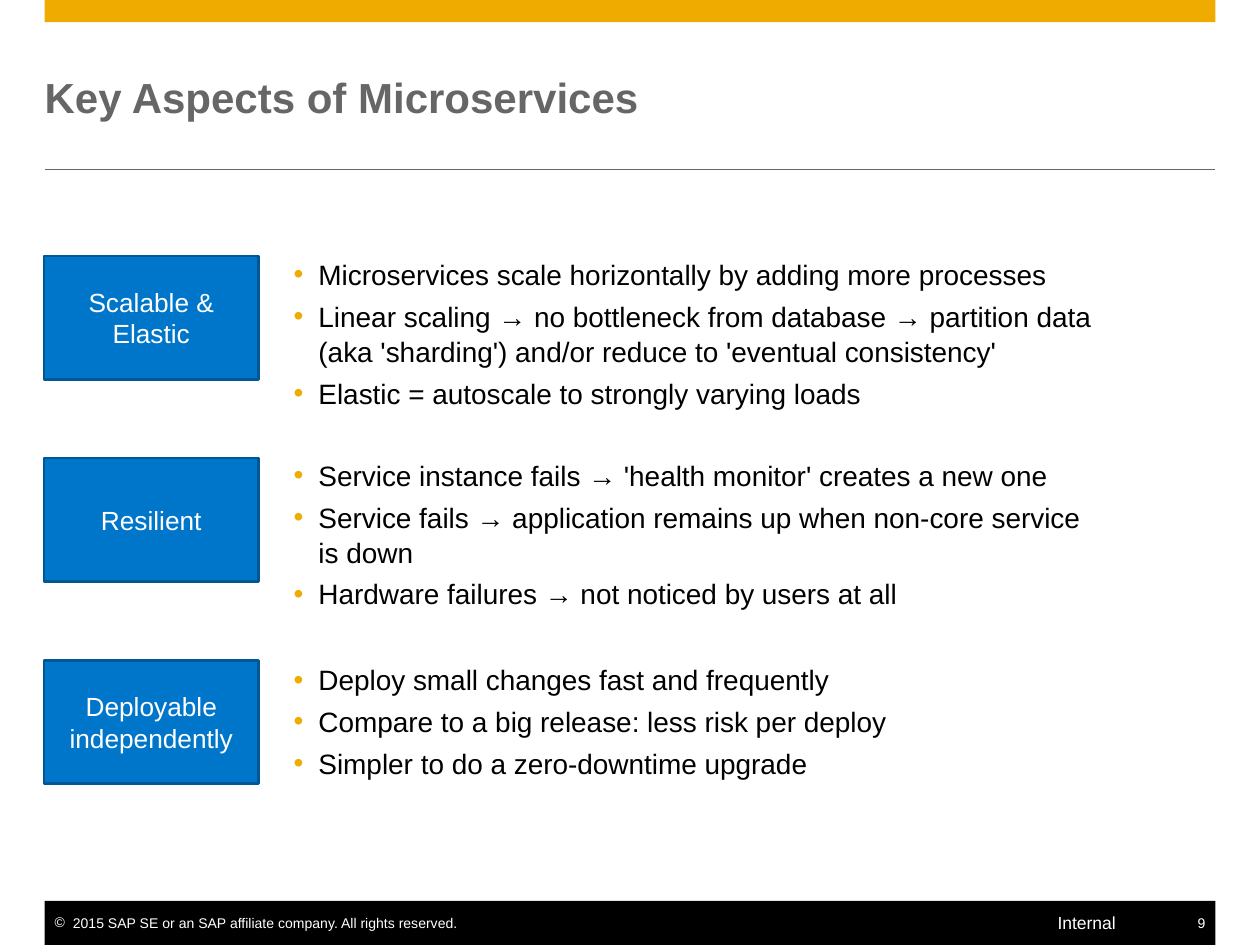
from dataclasses import dataclass

from lxml.etree import SubElement as Sub
from pptx import Presentation
from pptx.dml.color import RGBColor as Rgb
from pptx.enum.shapes import MSO_CONNECTOR as Conn, MSO_SHAPE as Shape
from pptx.enum.text import MSO_ANCHOR as Anchor, MSO_AUTO_SIZE as Fit, PP_ALIGN as Align
from pptx.oxml.ns import qn
from pptx.util import Cm, Pt


@dataclass(frozen=True)
class Theme:
    """Colours, font and type sizes of the slide."""
    gold: str = "F0AB00"
    grey: str = "666666"
    black: str = "000000"
    white: str = "FFFFFF"
    blue: str = "0076CB"
    navy: str = "005796"
    face: str = "Arial"
    head: int = 24
    body: int = 16
    card: int = 15
    mark: int = 10
    note: int = 8


THEME = Theme()
TOPICS = [
    ("Scalable & Elastic", 0, [
        "Microservices scale horizontally by adding more processes",
        "Linear scaling → no bottleneck from database → partition data "
        "(aka 'sharding') and/or reduce to 'eventual consistency'",
        "Elastic = autoscale to strongly varying loads"]),
    ("Resilient", 27, [
        "Service instance fails → 'health monitor' creates a new one",
        "Service fails → application remains up when non-core service is down",
        "Hardware failures → not noticed by users at all"]),
    ("Deployable independently", 29, [
        "Deploy small changes fast and frequently",
        "Compare to a big release: less risk per deploy",
        "Simpler to do a zero-downtime upgrade"]),
]


def place(part, box):
    """Move a shape to a box given in centimetres."""
    part.left, part.top, part.width, part.height = map(Cm, box)


def frame(part, anchor, inset=(0, 0, 0, 0)):
    """Prepare the text frame of a shape and return it."""
    text = part.text_frame
    text.word_wrap, text.auto_size = True, Fit.NONE
    text.vertical_anchor = anchor
    (text.margin_left, text.margin_top,
     text.margin_right, text.margin_bottom) = map(Cm, inset)
    return text


def style(para, size, color, bold=False, align=Align.LEFT):
    """Set the font and alignment of a paragraph."""
    para.alignment = align
    font = para.font
    font.name, font.size, font.bold = THEME.face, Pt(size), bold
    font.color.rgb = Rgb.from_string(color)


def bullet(para, sign, color, hang):
    """Give a paragraph a coloured bullet and a hanging indent."""
    props = para._p.get_or_add_pPr()
    props.set("marL", str(Cm(hang)))
    props.set("indent", str(-Cm(hang)))
    tint = Sub(props, qn("a:buClr"))
    Sub(tint, qn("a:srgbClr"), val=color)
    Sub(props, qn("a:buFont"), typeface=THEME.face)
    Sub(props, qn("a:buChar"), char=sign)


def block(slide, box, fill, edge=None):
    """Draw a filled rectangle with an optional edge."""
    part = slide.shapes.add_shape(Shape.RECTANGLE, *map(Cm, box))
    part.shadow.inherit = False
    part.fill.solid()
    part.fill.fore_color.rgb = Rgb.from_string(fill)
    if edge:
        part.line.color.rgb = Rgb.from_string(edge)
        part.line.width = Pt(1.5)
    else:
        part.line.fill.background()
    return part


def header(slide, box):
    """Place the gold band, the title and the rule."""
    x, y, w, h = box
    block(slide, (x, y, w, 0.45), THEME.gold)
    rule = slide.shapes.add_connector(
        Conn.STRAIGHT, *map(Cm, (x, y + h, x + w, y + h)))
    rule.line.color.rgb = Rgb.from_string(THEME.grey)
    rule.line.width = Pt(0.5)
    Sub(rule._element.spPr, qn("a:effectLst"))
    title = slide.shapes.title
    place(title, (x, y + 0.9, w, 2.1))
    para = frame(title, Anchor.MIDDLE).paragraphs[0]
    para.text = "Key Aspects of Microservices"
    style(para, THEME.head, THEME.grey, bold=True)


def cards(slide, box):
    """Stack one labelled card per topic at equal steps."""
    x, y, w, h = box
    tall = 2.49
    step = (h - tall) / (len(TOPICS) - 1)
    for row, (name, _, _) in enumerate(TOPICS):
        card = block(slide, (x, y + row * step, w, tall), THEME.blue, THEME.navy)
        para = frame(card, Anchor.MIDDLE, (0.18, 0.15, 0.18, 0.15)).paragraphs[0]
        para.text = name
        style(para, THEME.card, THEME.white, align=Align.CENTER)


def points(slide, box):
    """Fill the body with the bullets of all topics."""
    body = slide.placeholders[1]
    place(body, box)
    text = frame(body, Anchor.TOP)
    para = text.paragraphs[0]
    for _, gap, lines in TOPICS:
        for row, line in enumerate(lines):
            if para.text:
                para = text.add_paragraph()
            para.text = line
            para.level = 1
            para.line_spacing = 1.04
            para.space_before = Pt(4 if row else gap)
            bullet(para, "•", THEME.gold, 0.5)
            style(para, THEME.body, THEME.black)


def footer(slide, box):
    """Place the black bar with its three texts."""
    x, y, w, h = box
    block(slide, box, THEME.black)
    cells = [
        (0.2, 10, "2015 SAP SE or an SAP affiliate company. All rights reserved.",
         THEME.note, Align.LEFT),
        (20.42, 2, "Internal", THEME.mark, Align.LEFT),
        (w - 1.2, 1, "9", THEME.note, Align.RIGHT),
    ]
    for left, wide, words, size, align in cells:
        cell = slide.shapes.add_textbox(*map(Cm, (x + left, y, wide, h)))
        para = frame(cell, Anchor.MIDDLE).paragraphs[0]
        para.text = words
        if left == cells[0][0]:
            bullet(para, "©", THEME.white, 0.37)
        style(para, size, THEME.white, align=align)


def main():
    """Build the slide and save it."""
    deck = Presentation()
    deck.slide_width, deck.slide_height = Cm(25.4), Cm(19.05)
    slide = deck.slides.add_slide(deck.slide_layouts[1])
    header(slide, (0.9, 0, 23.6, 3.42))
    points(slide, (5.92, 5.16, 16.18, 8.79))
    cards(slide, (0.89, 5.16, 4.32, 10.64))
    footer(slide, (0.9, 18.16, 23.6, 0.89))
    deck.save("out.pptx")


if __name__ == "__main__":
    main()
